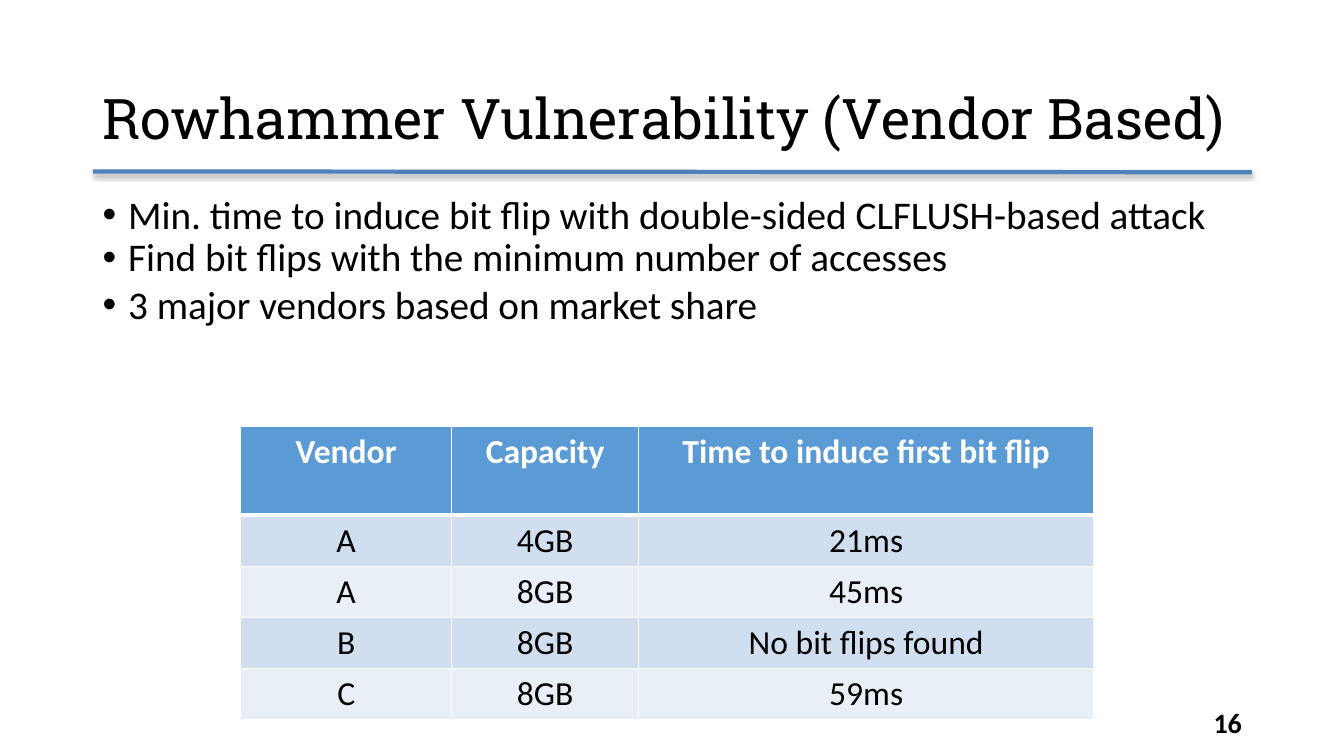
from lxml import etree
from pptx import Presentation
from pptx import util as u
from pptx.dml import color
from pptx.enum import shapes, text
from pptx.oxml import ns, parse_xml

Cm, Pt = u.Cm, u.Pt
HUES = {"ink": "000000", "white": "FFFFFF", "head": "5B9BD5",
        "dark": "D1DEEF", "light": "E9EFF7", "rule": "4F81BD"}
NS = ns.nsdecls("a")
MID = text.MSO_ANCHOR.MIDDLE


def style(para, size, hue="ink", face="Calibri", bold=False):
    for run in para.runs:
        font = run.font
        font.size, font.name, font.bold = Pt(size), face, bold
        font.color.rgb = color.RGBColor.from_string(HUES[hue])


def add_box(left, top, width, height, anchor=text.MSO_ANCHOR.TOP):
    frame = slide.shapes.add_textbox(Cm(left), Cm(top), Cm(width), Cm(height)).text_frame
    frame.word_wrap = True
    frame.vertical_anchor = anchor
    return frame


deck = Presentation()
deck.slide_width, deck.slide_height = Cm(33.87), Cm(19.05)
slide = deck.slides.add_slide(deck.slide_layouts[6])

# Vendor table
rows = [
    ("Vendor", "Capacity", "Time to induce first bit flip"),
    ("A", "4GB", "21ms"),
    ("A", "8GB", "45ms"),
    ("B", "8GB", "No bit flips found"),
    ("C", "8GB", "59ms"),
]
widths = [5.31, 4.72, 11.46]
heights = [2.24] + [1.24] * 4
table = slide.shapes.add_table(len(rows), len(widths), Cm(6.07), Cm(10.74),
                               Cm(sum(widths)), Cm(sum(heights))).table
table.horz_banding = False
for col, width in zip(table.columns, widths):
    col.width = Cm(width)
for r, row in enumerate(rows):
    table.rows[r].height = Cm(heights[r])
    fill = "head" if r == 0 else "dark" if r % 2 else "light"
    for c, word in enumerate(row):
        cell = table.cell(r, c)
        cell.text = word
        para = cell.text_frame.paragraphs[0]
        para.alignment = text.PP_ALIGN.CENTER
        style(para, 24, "ink" if r else "white", bold=r == 0)
        # The border under the header is thicker
        props = cell._tc.get_or_add_tcPr()
        for side in "LRTB":
            thick = (r, side) in ((0, "B"), (1, "T"))
            props.append(parse_xml(
                f'<a:ln{side} {NS} w="{Pt(3 if thick else 0.96)}"><a:solidFill>'
                f'<a:srgbClr val="{HUES["white"]}"/></a:solidFill></a:ln{side}>'))
        cell.fill.solid()
        cell.fill.fore_color.rgb = color.RGBColor.from_string(HUES[fill])

# Bullets: text, level, line spacing
points = [
    ("Min. time to induce bit flip with double-sided CLFLUSH-based attack", 0, 0.9),
    ("Find bit flips with the minimum number of accesses", 0, 0.9),
    ("3 major vendors based on market share", 1, 1.0),
]
body = add_box(2.34, 4.8, 28.42, 5.66)
body.text = "\n".join(point[0] for point in points)
for para, (_, level, space) in zip(body.paragraphs, points):
    para.level, para.line_spacing = level, space
    style(para, 28)
    props = para._p.get_or_add_pPr()
    props.set("marL", str(Cm(0.64)))
    props.set("indent", str(-Cm(0.64)))
    tint = etree.SubElement(props, ns.qn("a:buClr"))
    etree.SubElement(tint, ns.qn("a:srgbClr"), val=HUES["ink"])
    etree.SubElement(props, ns.qn("a:buFont"), typeface="Arial")
    etree.SubElement(props, ns.qn("a:buChar"), char="•")

# Page number
page = add_box(23.93, 17.7, 7.62, 1.02, MID)
page.text = "16"
page.paragraphs[0].alignment = text.PP_ALIGN.RIGHT
style(page.paragraphs[0], 20, bold=True)

# Rule under the title, with a soft shadow
rule = slide.shapes.add_connector(shapes.MSO_CONNECTOR.STRAIGHT,
                                  Cm(2.34), Cm(4.32), Cm(31.55), Cm(4.34))
rule.line.width = Pt(3)
rule.line.color.rgb = color.RGBColor.from_string(HUES["rule"])
rule._element.spPr.append(parse_xml(
    f'<a:effectLst {NS}><a:outerShdw blurRad="{Pt(3.1)}" dist="{Pt(1.8)}" dir="5400000" '
    f'rotWithShape="0"><a:srgbClr val="{HUES["ink"]}"><a:alpha val="35000"/></a:srgbClr>'
    '</a:outerShdw></a:effectLst>'))

# Title
title = add_box(2.34, 1.22, 29.95, 3.68, MID)
title.text = "Rowhammer Vulnerability (Vendor Based)"
title.paragraphs[0].line_spacing = 0.9
style(title.paragraphs[0], 40, face="Roboto Slab")

deck.save("out.pptx")
